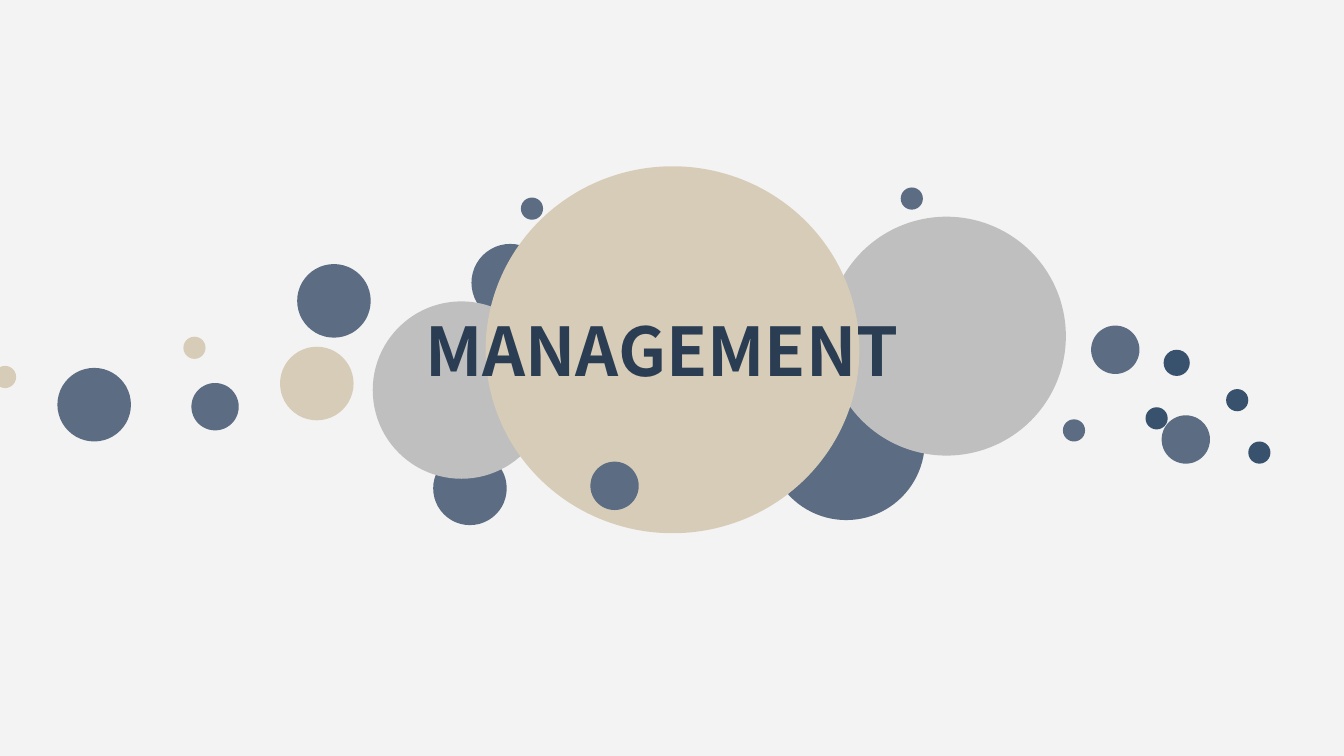
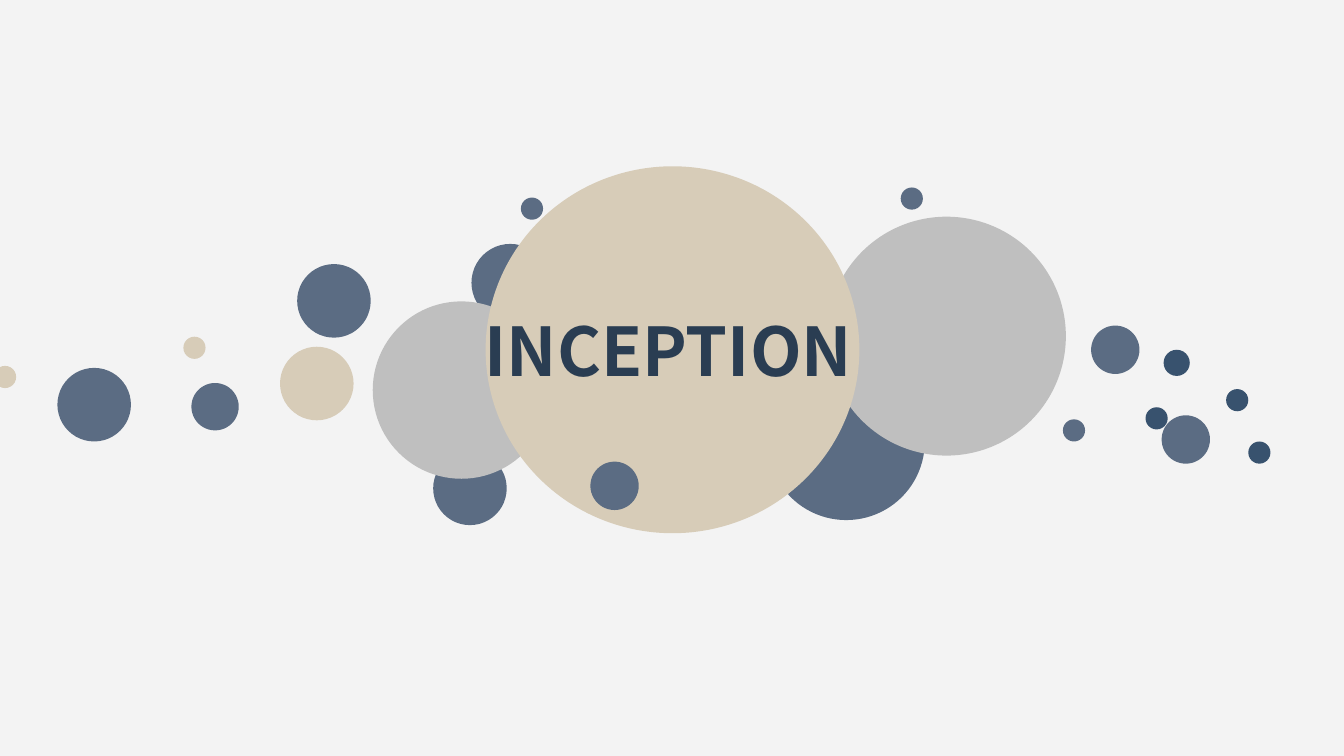
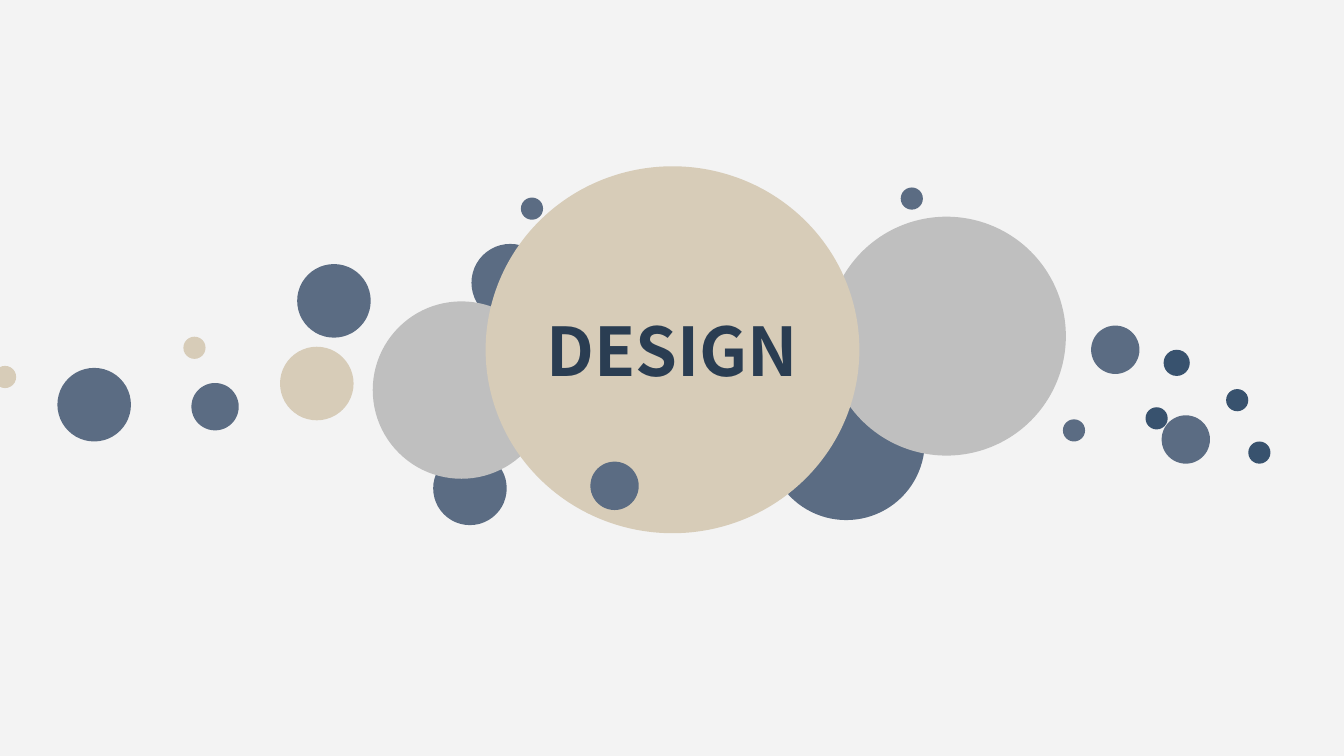
import pptx
import pptx.dml.color
import pptx.enum.shapes
import pptx.enum.text
import pptx.util

Inches = pptx.util.Inches

FONT = "Noto Sans CJK SC"
PAPER = "F3F3F3"
INK = "2A3D52"
SLATE = "5B6C83"
NAVY = "38526E"
GREY = "BFBFBF"
SAND = "D7CCB8"

TITLES = [
    ("MANAGEMENT", 4.12, 5.07),
    ("INCEPTION", 4.71, 3.93),
    ("DESIGN", 5.32, 2.72),
]
TITLE_TOP, TITLE_HEIGHT = 3.02, 0.9

DOT, SMALL, MEDIUM = 0.22, 0.48, 0.73

# left, top, width, height, colour
BACK_BUBBLES = [
    (4.68, 2.42, 0.77, 0.77, SLATE),
    (4.3, 4.48, MEDIUM, MEDIUM, SLATE),
    (7.62, 3.6, 1.56, 1.56, SLATE),
    (8.21, 2.15, 2.37, 2.37, GREY),
    (3.7, 2.99, 1.76, 1.76, GREY),
    (1.9, 3.8, 0.47, 0.47, SLATE),
    (11.55, 3.47, 0.26, 0.26, NAVY),
    (10.83, 3.23, SMALL, SMALL, SLATE),
    (2.78, 3.44, MEDIUM, MEDIUM, SAND),
    (10.55, 4.16, DOT, DOT, SLATE),
    (4.82, 1.65, 3.71, 3.64, SAND),
]
FRONT_BUBBLES = [
    (2.95, 2.62, MEDIUM, MEDIUM, SLATE),
    (11.37, 4.04, DOT, DOT, NAVY),
    (12.39, 4.38, DOT, DOT, NAVY),
    (12.17, 3.86, DOT, DOT, NAVY),
    (1.82, 3.34, DOT, DOT, SAND),
    (8.94, 1.86, DOT, DOT, SLATE),
    (5.17, 1.96, DOT, DOT, SLATE),
    (11.53, 4.12, SMALL, SMALL, SLATE),
    (0.57, 3.65, MEDIUM, MEDIUM, SLATE),
    (5.86, 4.58, SMALL, SMALL, SLATE),
    (-0.06, 3.63, DOT, DOT, SAND),
]


def paint(fill, colour):
    fill.solid()
    fill.fore_color.rgb = pptx.dml.color.RGBColor.from_string(colour)


def add_bubbles(page, bubbles):
    for left, top, width, height, colour in bubbles:
        bubble = page.shapes.add_shape(
            pptx.enum.shapes.MSO_SHAPE.OVAL,
            Inches(left), Inches(top), Inches(width), Inches(height))
        bubble.shadow.inherit = False
        paint(bubble.fill, colour)
        bubble.line.fill.background()


def place_title(page, text, left, width):
    title = page.shapes.title
    title.left, title.top = Inches(left), Inches(TITLE_TOP)
    title.width, title.height = Inches(width), Inches(TITLE_HEIGHT)
    frame = title.text_frame
    frame.word_wrap = False
    frame.auto_size = pptx.enum.text.MSO_AUTO_SIZE.SHAPE_TO_FIT_TEXT
    frame.vertical_anchor = pptx.enum.text.MSO_ANCHOR.TOP
    para = frame.paragraphs[0]
    para.alignment = pptx.enum.text.PP_ALIGN.LEFT
    span = para.add_run()
    span.text = text
    span.font.name = FONT
    span.font.size = pptx.util.Pt(48)
    span.font.bold = True
    paint(span.font.fill, INK)
    east_asian = span.font._element.makeelement(
        pptx.oxml.ns.qn("a:ea"), {"typeface": FONT})
    span.font._element.append(east_asian)
    title.element.getparent().append(title.element)


def main():
    deck = pptx.Presentation()
    deck.slide_width, deck.slide_height = Inches(13.34), Inches(7.5)
    paint(deck.slide_master.background.fill, PAPER)
    title_only = deck.slide_layouts.get_by_name("Title Only")
    for text, left, width in TITLES:
        page = deck.slides.add_slide(title_only)
        add_bubbles(page, BACK_BUBBLES)
        place_title(page, text, left, width)
        add_bubbles(page, FRONT_BUBBLES)
    deck.save("out.pptx")


if __name__ == "__main__":
    main()
